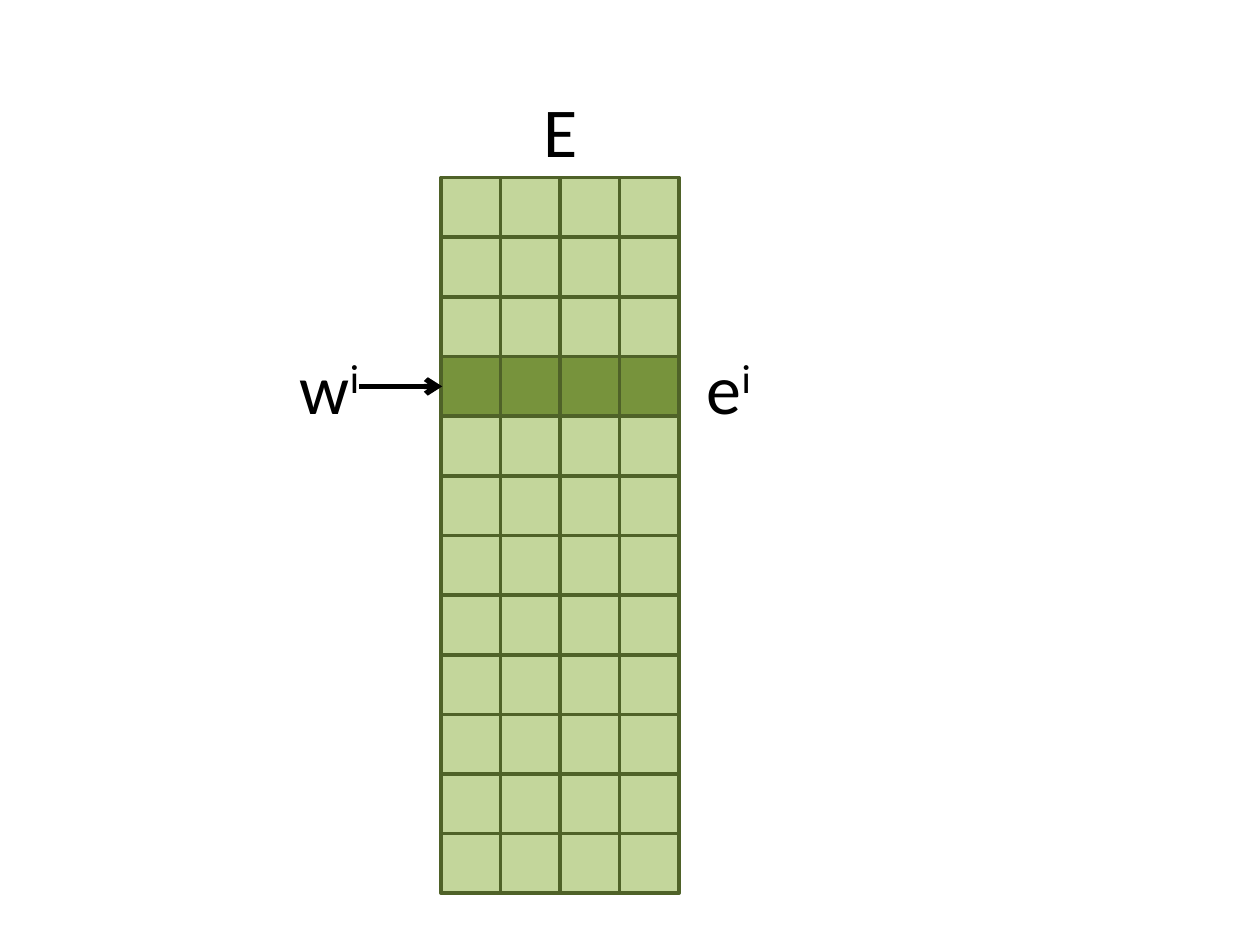
from lxml import etree
from pptx import Presentation
from pptx.dml.color import RGBColor
from pptx.enum.shapes import MSO_CONNECTOR, MSO_SHAPE
from pptx.enum.text import MSO_ANCHOR, MSO_AUTO_SIZE, PP_ALIGN
from pptx.oxml.ns import qn
from pptx.util import Inches, Pt

RECTANGLE = MSO_SHAPE.RECTANGLE
STRAIGHT = MSO_CONNECTOR.STRAIGHT
TOP, MIDDLE = MSO_ANCHOR.TOP, MSO_ANCHOR.MIDDLE
CENTER = PP_ALIGN.CENTER
FIT_SHAPE = MSO_AUTO_SIZE.SHAPE_TO_FIT_TEXT

COLORS = {"cell": "C3D69B", "selected": "77933C", "border": "4F6228", "ink": "000000"}
ROWS, COLUMNS, SELECTED_ROW = 12, 4, 3
MATRIX_BOX = (3.5, 1.41, 1.89, 5.68)
LABEL_WIDTH, LABEL_HEIGHT = 0.79, 0.77


def color(key):
    return RGBColor.from_string(COLORS[key])


def add_label(slide, text, left, top, superscript="", anchor=MIDDLE, size=40, font="Calibri"):
    label = slide.shapes.add_textbox(
        Inches(left), Inches(top), Inches(LABEL_WIDTH), Inches(LABEL_HEIGHT))
    frame = label.text_frame
    frame.word_wrap = True
    frame.auto_size = FIT_SHAPE
    frame.vertical_anchor = anchor
    paragraph = frame.paragraphs[0]
    paragraph.alignment = CENTER
    for part, baseline in ((text, None), (superscript, "30000")):
        if part:
            run = paragraph.add_run()
            run.text = part
            run.font.size = Pt(size)
            run.font.name = font
            run.font.color.rgb = color("ink")
            if baseline:
                run.font._element.set("baseline", baseline)


def add_matrix(slide, box):
    left, top, width, height = box
    cell_width, cell_height = width / COLUMNS, height / ROWS
    for row in range(ROWS):
        vector = slide.shapes.add_group_shape()
        for column in range(COLUMNS):
            cell = vector.shapes.add_shape(
                RECTANGLE,
                Inches(left + column * cell_width), Inches(top + row * cell_height),
                Inches(cell_width), Inches(cell_height))
            cell.shadow.inherit = False
            cell.fill.solid()
            cell.fill.fore_color.rgb = color("selected" if row == SELECTED_ROW else "cell")
            cell.line.color.rgb = color("border")
            cell.line.width = Pt(2)


def add_arrow(slide, start, end, y):
    arrow = slide.shapes.add_connector(
        STRAIGHT, Inches(start), Inches(y), Inches(end), Inches(y))
    arrow.line.color.rgb = color("ink")
    arrow.line.width = Pt(3)
    etree.SubElement(arrow.line._get_or_add_ln(), qn("a:tailEnd"), type="arrow")
    etree.SubElement(arrow._element.spPr, qn("a:effectLst"))


def add_annotations(slide, box):
    left, top, width, height = box
    row_center = top + (SELECTED_ROW + 0.5) * height / ROWS
    label_top = row_center - LABEL_HEIGHT / 2
    add_label(slide, "w", left - 1.28, label_top, superscript="i", anchor=TOP)
    add_arrow(slide, left - 0.65, left + 0.01, row_center)
    add_label(slide, "e", left + width, label_top, superscript="i")
    add_label(slide, "E", left + (width - LABEL_WIDTH) / 2, top - LABEL_HEIGHT)


presentation = Presentation()
presentation.slide_width, presentation.slide_height = Inches(10), Inches(7.5)
embedding_slide = presentation.slides.add_slide(presentation.slide_layouts[6])
add_matrix(embedding_slide, MATRIX_BOX)
add_annotations(embedding_slide, MATRIX_BOX)
presentation.save("out.pptx")
